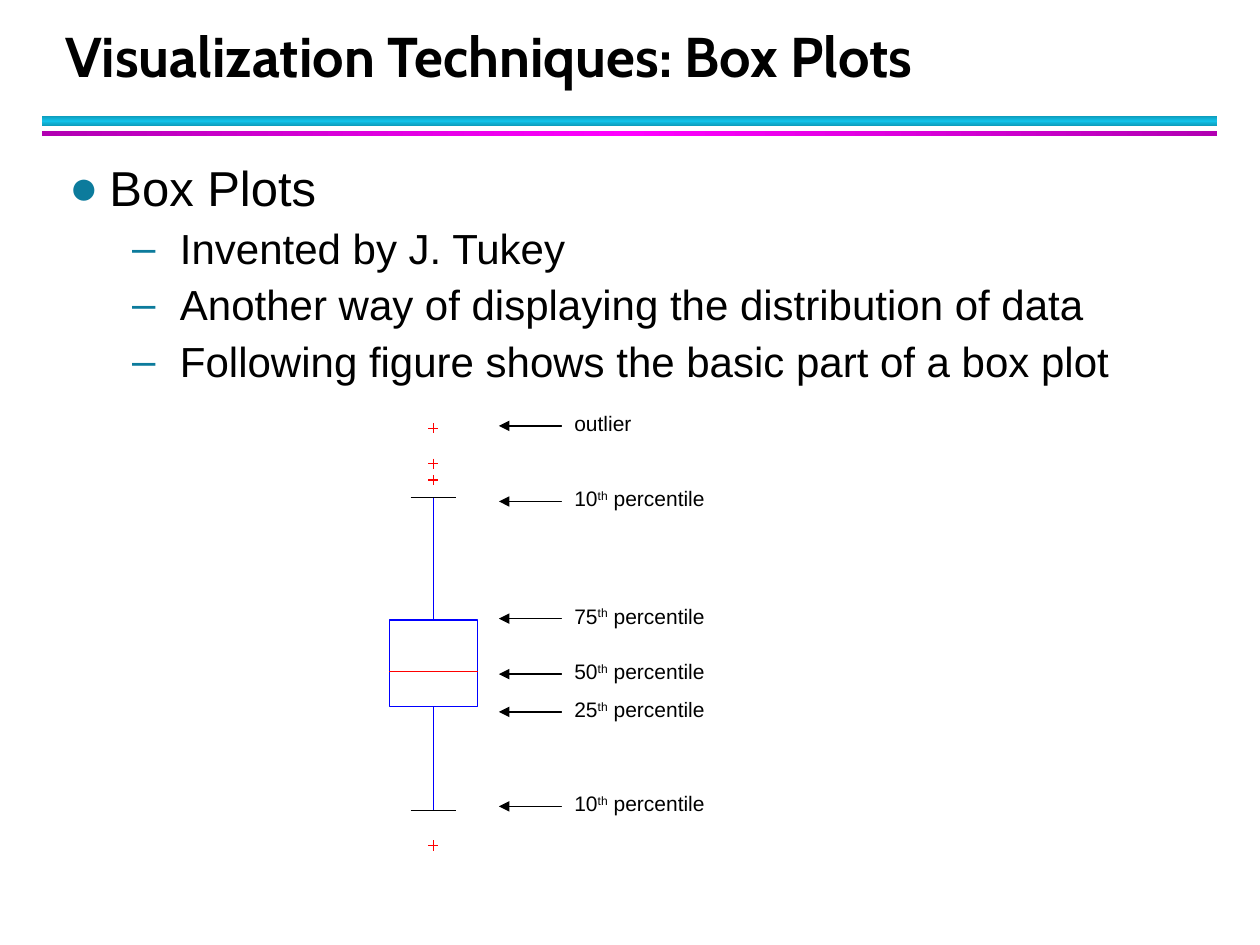
import copy
import lxml.etree
import pptx
import pptx.dml.color
import pptx.enum.shapes
import pptx.enum.text
import pptx.oxml.ns
import pptx.util

Inches, Pt = pptx.util.Inches, pptx.util.Pt
qn = pptx.oxml.ns.qn
hue = pptx.dml.color.RGBColor.from_string
RECT = pptx.enum.shapes.MSO_SHAPE.RECTANGLE
BLUE, RED, BLACK = "0000FF", "FF0000", "000000"

deck = pptx.Presentation()
deck.slide_width, deck.slide_height = Inches(10), Inches(7.5)
slide = deck.slides.add_slide(deck.slide_layouts[6])
shapes = slide.shapes


def draw(x1, y1, x2, y2, color):
    line = shapes.add_connector(
        pptx.enum.shapes.MSO_CONNECTOR.STRAIGHT,
        Inches(x1), Inches(y1), Inches(x2), Inches(y2))
    line.line.color.rgb = hue(color)
    line.line.width = Pt(0.75)
    lxml.etree.SubElement(line._element.spPr, qn("a:effectLst"))
    return line


def write(para, text, size, font="Arial"):
    run = para.add_run()
    run.text = text
    run.font.size = Pt(size)
    run.font.name = font
    run.font.color.rgb = hue(BLACK)
    return run


# Bars under the title
for top, height, edge, core, angle in [(0.92, 0.08, "0E9BBA", "12C2E9", 90),
                                       (1.04, 0.04, "B200B2", "FF00FF", 0)]:
    bar = shapes.add_shape(RECT, Inches(0.33), Inches(top), Inches(9.33), Inches(height))
    bar.shadow.inherit = False
    bar.line.fill.background()
    bar.fill.gradient()
    bar.fill.gradient_angle = angle
    first, second = bar.fill.gradient_stops
    first.color.rgb, first.position = hue(edge), 0
    second.color.rgb, second.position = hue(core), 0.5
    stops = bar._element.spPr.find(".//" + qn("a:gsLst"))
    last = copy.deepcopy(stops[0])
    last.set("pos", "100000")
    stops.append(last)

# Title
title = shapes.add_textbox(Inches(0.42), Inches(0.17), Inches(9.06), Inches(0.58)).text_frame
title.word_wrap = True
title.vertical_anchor = pptx.enum.text.MSO_ANCHOR.BOTTOM
title.paragraphs[0].line_spacing = 1.12
write(title.paragraphs[0], "Visualization Techniques: Box Plots", 32, "Cabin").font.bold = True

# Bullets
body = shapes.add_textbox(Inches(0.45), Inches(1.25), Inches(9.22), Inches(2)).text_frame
body.word_wrap = True
for num, text in enumerate(["Box Plots",
                            "Invented by J. Tukey",
                            "Another way of displaying the distribution of data",
                            "Following figure shows the basic part of a box plot"]):
    if num == 0:
        para, size, mark, left, hang = body.paragraphs[0], 28, "●", 0.32, 0.32
    else:
        para, size, mark, left, hang = body.add_paragraph(), 24, "–", 0.88, 0.38
        para.level = 1
        para.space_before = Pt(6.4)
    para.line_spacing = 0.9
    props = para._p.get_or_add_pPr()
    props.set("marL", str(Inches(left)))
    props.set("indent", str(-Inches(hang)))
    tint = lxml.etree.SubElement(props, qn("a:buClr"))
    lxml.etree.SubElement(tint, qn("a:srgbClr"), val="0C7B9C")
    lxml.etree.SubElement(props, qn("a:buFont"), typeface="Arial")
    lxml.etree.SubElement(props, qn("a:buChar"), char=mark)
    write(para, text, size)

# Box with whiskers, end caps and median
mid, half = 3.44, 0.35
top, base = 4.92, 5.61
box = shapes.add_shape(RECT, Inches(mid - half), Inches(top), Inches(2 * half), Inches(base - top))
box.shadow.inherit = False
box.fill.background()
box.line.color.rgb = hue(BLUE)
box.line.width = Pt(0.75)
for cap, side, site in [(3.95, top, 0), (6.43, base, 2)]:
    draw(mid, cap, mid, side, BLUE).end_connect(box, site)
    draw(mid - 0.18, cap, mid + 0.18, cap, BLACK)
draw(mid - half, 5.33, mid + half, 5.33, RED)

# Outliers
arm = 0.04
for y in [3.4, 3.68, 3.81, 6.71]:
    draw(mid - arm, y, mid + arm, y, RED)
    draw(mid, y - arm, mid, y + arm, RED)

# Labels with arrows
for y, rank in [(3.38, None), (6.4, "10"), (5.65, "25"),
                (4.91, "75"), (5.35, "50"), (3.98, "10")]:
    arrow = draw(3.96, y, 4.46, y, BLACK)
    lxml.etree.SubElement(arrow.line._get_or_add_ln(), qn("a:headEnd"), type="triangle")
    width, height = (1.38, 0.37) if rank else (0.75, 0.25)
    label = shapes.add_shape(RECT, Inches(4.46), Inches(y - 0.15), Inches(width), Inches(height))
    label.shadow.inherit = False
    label.fill.solid()
    label.fill.fore_color.rgb = hue("FFFFFF")
    label.line.fill.background()
    frame = label.text_frame
    frame.word_wrap = True
    frame.vertical_anchor = pptx.enum.text.MSO_ANCHOR.TOP
    para = frame.paragraphs[0]
    para.alignment = pptx.enum.text.PP_ALIGN.LEFT
    para.line_spacing = 0.9
    if rank:
        write(para, rank, 12)
        write(para, "th", 12)._r.get_or_add_rPr().set("baseline", "30000")
        write(para, " percentile", 12)
    else:
        write(para, "outlier", 12)

deck.save("out.pptx")
